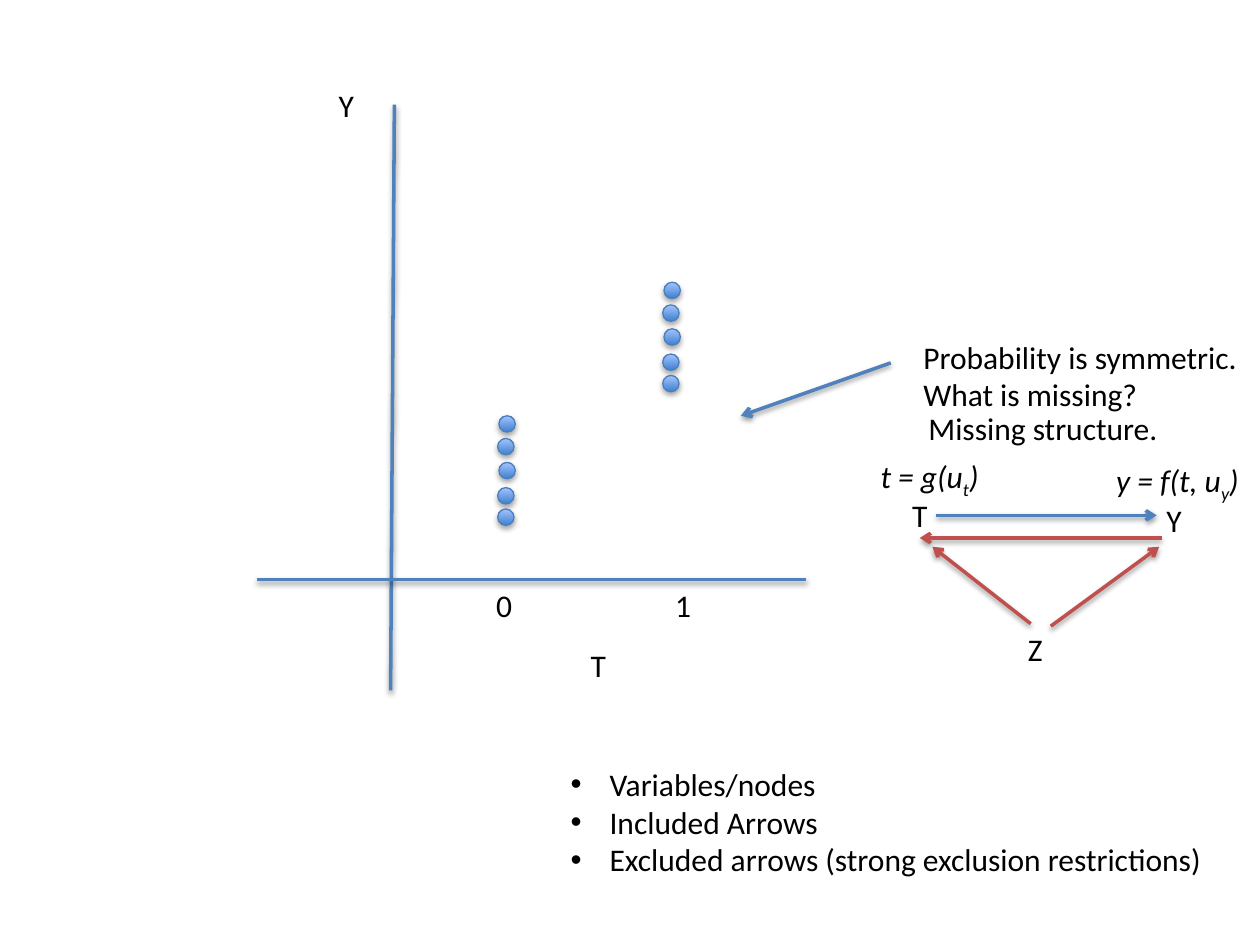
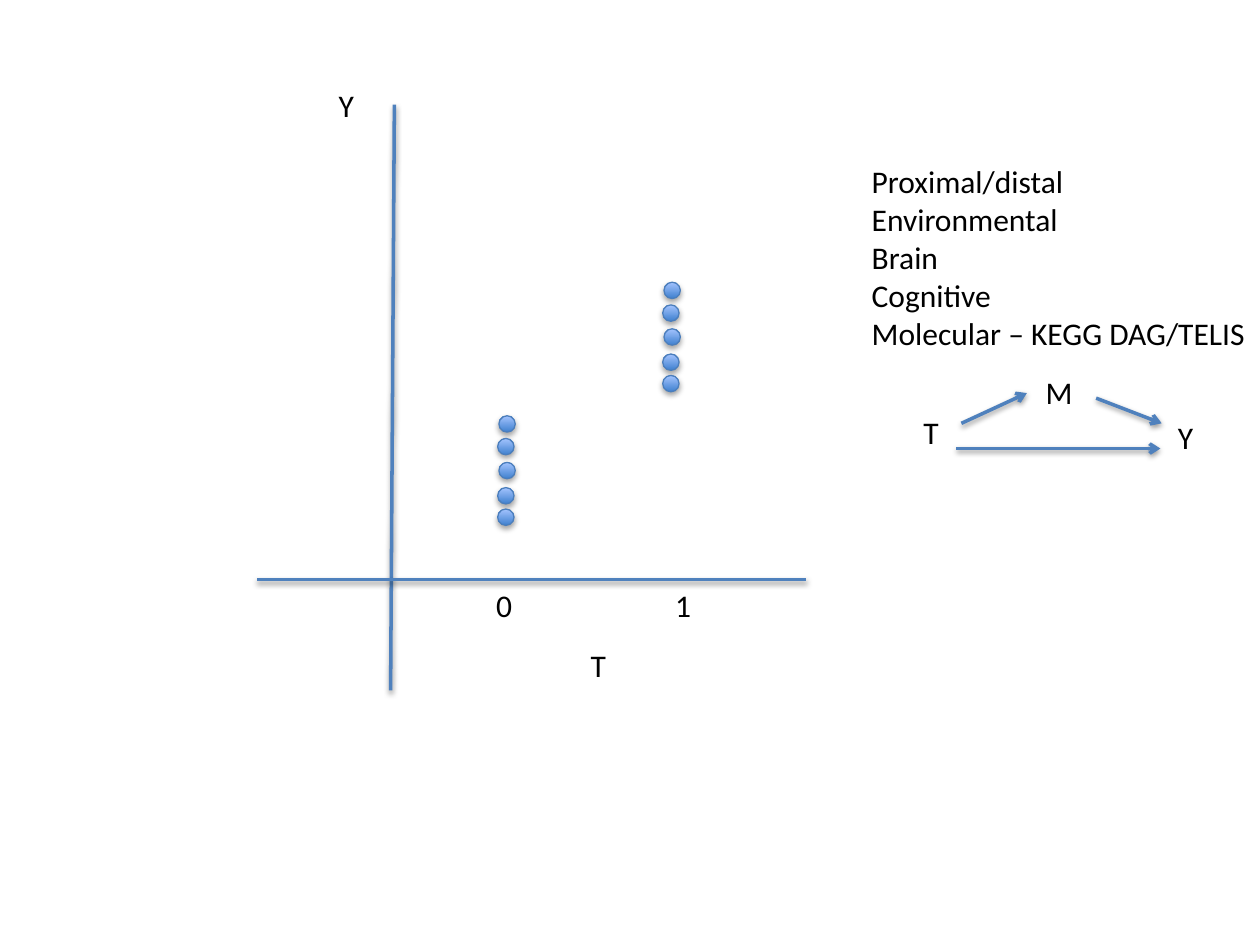
from lxml.etree import SubElement
from pptx import Presentation
from pptx.dml.color import RGBColor
from pptx.enum.shapes import MSO_CONNECTOR, MSO_SHAPE
from pptx.enum.text import MSO_AUTO_SIZE
from pptx.oxml.ns import qn
from pptx.util import Inches, Pt

FONT = "Calibri"
BLACK, BLUE, RED = "000000", "4F81BD", "C0504D"
DOT_EDGE, DOT_BOTTOM, DOT_TOP = "4B7EBC", "3F80CE", "A4C4FF"
DOT_SIZE = 0.13
DOT_OFFSETS = [(0.01, 0), (0, 0.18), (0.01, 0.37), (0, 0.57), (0, 0.74)]
DOT_GROUPS = [(3.95, 3.3), (5.26, 2.24)]


def color(hex_string):
    """Turn a hex string into a colour."""
    return RGBColor.from_string(hex_string)


def add_shadow(shape, opacity, distance):
    """Give a shape or connector a soft shadow that falls downwards."""
    effects = SubElement(shape._element.spPr, qn("a:effectLst"))
    shadow = SubElement(effects, qn("a:outerShdw"), blurRad=str(Pt(3.1)),
                        dist=str(Pt(distance)), dir="5400000", rotWithShape="0")
    shade = SubElement(shadow, qn("a:srgbClr"), val=BLACK)
    SubElement(shade, qn("a:alpha"), val=str(opacity * 1000))


def add_line(slide, start, end, line_color=BLUE, arrow=False):
    """Draw a straight line, with an arrowhead at its end if asked."""
    connector = slide.shapes.add_connector(
        MSO_CONNECTOR.STRAIGHT, *map(Inches, (*start, *end)))
    connector.line.color.rgb = color(line_color)
    connector.line.width = Pt(2)
    if arrow:
        SubElement(connector.line._get_or_add_ln(), qn("a:tailEnd"), type="arrow")
    add_shadow(connector, 38, 1.6)


def add_dot(slide, left, top):
    """Draw one data point."""
    dot = slide.shapes.add_shape(
        MSO_SHAPE.OVAL, *map(Inches, (left, top, DOT_SIZE, DOT_SIZE)))
    dot.fill.gradient()
    dot.fill.gradient_angle = 90
    for stop, stop_color in zip(dot.fill.gradient_stops, (DOT_BOTTOM, DOT_TOP)):
        stop.color.rgb = color(stop_color)
    dot.line.color.rgb = color(DOT_EDGE)
    dot.line.width = Pt(0.75)
    add_shadow(dot, 35, 1.8)


def add_bullet(paragraph):
    """Give a paragraph a round bullet and a hanging indent."""
    properties = paragraph._p.get_or_add_pPr()
    properties.set("marL", str(Inches(0.31)))
    properties.set("indent", str(Inches(-0.31)))
    SubElement(properties, qn("a:buFont"), typeface="Arial")
    SubElement(properties, qn("a:buChar"), char="•")


def add_text(slide, text, left, top, width=0.44, height=0.4, *,
             wrap=False, italic=False, bullets=False):
    """Write text, one paragraph a line, with subscripts between bars."""
    box = slide.shapes.add_textbox(*map(Inches, (left, top, width, height)))
    frame = box.text_frame
    frame.word_wrap = wrap
    frame.auto_size = MSO_AUTO_SIZE.SHAPE_TO_FIT_TEXT
    for number, line in enumerate(text.split("\n")):
        paragraph = frame.add_paragraph() if number else frame.paragraphs[0]
        if bullets:
            add_bullet(paragraph)
        for position, piece in enumerate(line.split("|")):
            run = paragraph.add_run()
            run.text = piece
            run.font.name = FONT
            run.font.size = Pt(18)
            run.font.italic = italic
            run.font.color.rgb = color(BLACK)
            if position % 2:
                run.font._element.set("baseline", "-25000")


def add_scatter(slide):
    """Draw the axes, their labels and the two columns of points."""
    add_line(slide, (3.13, 0.83), (3.1, 5.48))
    add_line(slide, (2.04, 4.6), (6.4, 4.6))
    for label, left, top in [("Y", 2.59, 0.63), ("T", 4.59, 5.08),
                             ("0", 3.84, 4.6), ("1", 5.26, 4.6)]:
        add_text(slide, label, left, top, 0.33)
    for left, top in DOT_GROUPS:
        for shift, drop in DOT_OFFSETS:
            add_dot(slide, left + shift, top + drop)


def add_graph(slide, nodes, arrows):
    """Draw a causal graph from its node labels and arrows."""
    for label, left, top in nodes:
        add_text(slide, label, left, top, wrap=True)
    for start, end, arrow_color in arrows:
        add_line(slide, start, end, arrow_color, arrow=True)


def add_structure_slide(slide):
    """Build the slide on the structure that probability lacks."""
    add_scatter(slide)
    add_graph(slide,
              [("Y", 9.16, 3.93), ("T", 7.14, 3.89), ("Z", 8.06, 4.95)],
              [((7.07, 2.88), (5.88, 3.3), BLUE),
               ((7.43, 4.09), (9.18, 4.09), BLUE),
               ((8.18, 4.95), (7.4, 4.34), RED),
               ((8.34, 4.97), (9.2, 4.34), RED),
               ((9.22, 4.27), (7.3, 4.27), RED)])
    add_text(slide, "Missing structure.", 7.27, 3.2, 2.04)
    add_text(slide, "Probability is symmetric.\nWhat is missing?",
             7.23, 2.63, 2.73, 0.71)
    add_text(slide, "y = f(t, u|y|)", 8.76, 3.61, 1.26, italic=True)
    add_text(slide, "t = g(u|t|)", 6.89, 3.58, 1.06, italic=True)
    add_text(slide, "Variables/nodes\nIncluded Arrows\n"
             "Excluded arrows (strong exclusion restrictions)",
             4.43, 6.02, 5.28, 1.31, bullets=True)


def add_mediator_slide(slide):
    """Build the slide on mediators between T and Y."""
    add_scatter(slide)
    add_graph(slide,
              [("Y", 9.25, 3.27), ("T", 7.23, 3.23), ("M", 8.2, 2.91)],
              [((7.59, 3.56), (9.21, 3.56), BLUE),
               ((8.7, 3.16), (9.22, 3.36), BLUE),
               ((7.63, 3.36), (8.15, 3.12), BLUE)])
    add_text(slide, "Proximal/distal\nEnvironmental\nBrain\nCognitive\n"
             "Molecular – KEGG DAG/TELIS", 6.82, 1.24, 3.61, 1.92, wrap=True)


def main():
    """Build and save the presentation."""
    presentation = Presentation()
    presentation.slide_width = Inches(10)
    presentation.slide_height = Inches(7.5)
    for build in (add_structure_slide, add_mediator_slide):
        build(presentation.slides.add_slide(presentation.slide_layouts[6]))
    presentation.save("out.pptx")


if __name__ == "__main__":
    main()
